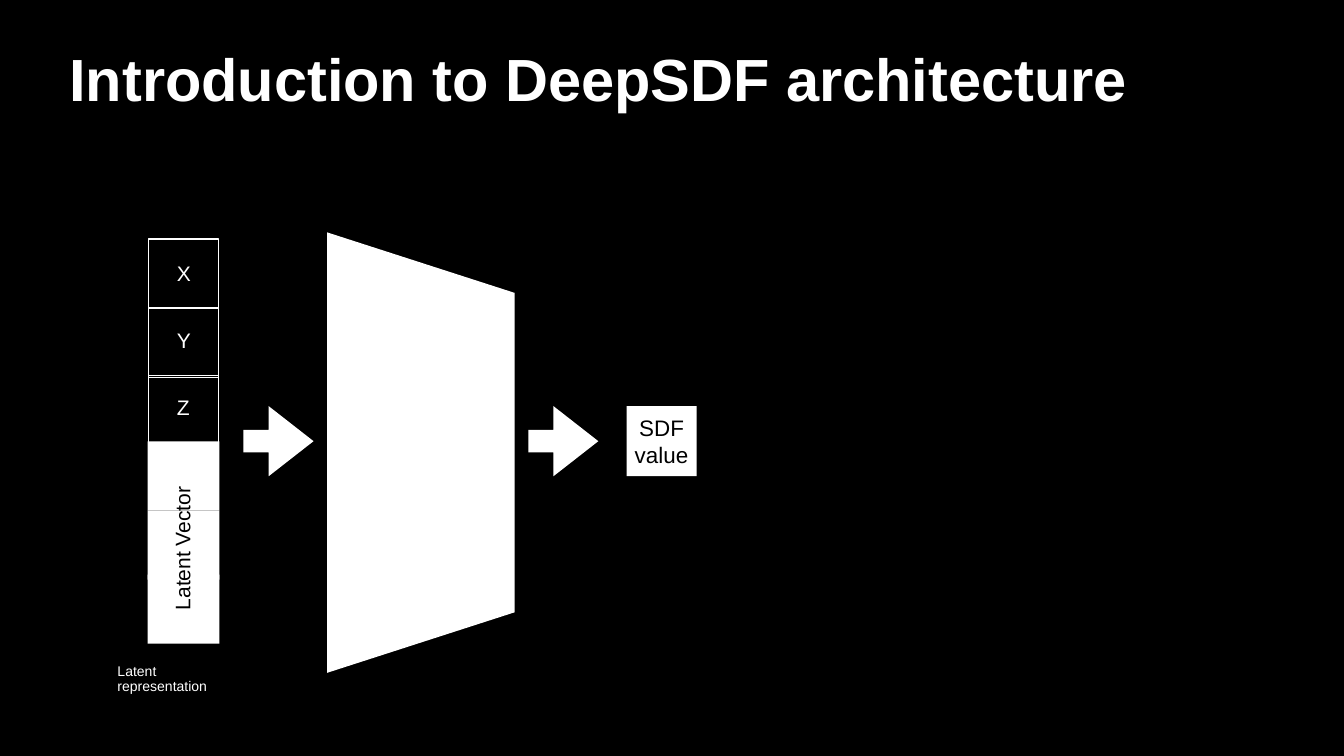
from pptx import Presentation
from pptx.dml.color import RGBColor
from pptx.enum.shapes import MSO_SHAPE as Shape
from pptx.enum.text import MSO_ANCHOR as Anchor, PP_ALIGN as Align
from pptx.util import Cm, Pt

COLORS = {"ground": "000000", "ink": "FFFFFF", "dark": "000000"}
FONT = "Arial"
INSET = 0.15

# Boxes are (left, top, width, height) in centimetres.
TITLE = ("Introduction to DeepSDF architecture", (3.35, 2.64, 61.04, 3.99))
CAPTION = ("Latent representation", (5.77, 33.71, 6.96, 1.04))
LATENT = ("Latent Vector", (5.11, 24.43, 8.28, 4.67))
OUTPUT = "SDF value"
COORDINATES = [("X", 12.04), ("Y", 15.54), ("Z", 18.92)]
LATENT_TOPS = [22.25, 25.73, 28.96]
NETWORK = [(16.48, 11.71), (25.93, 14.76), (25.93, 30.86), (16.48, 33.91)]

COLUMN_CENTER = 9.25
CELL_WIDTH, LATENT_WIDTH, CELL_HEIGHT = 3.53, 3.61, 3.48
LETTER_WIDTH, LETTER_HEIGHT = 0.97, 2.67
LETTER_TOP, LETTER_PITCH = 12.52, 3.365
FLOW_TOP, FLOW_SIZE = 20.47, 3.53
ARROW_LEFTS = [12.27, 26.62]
OUTPUT_LEFT = 31.57


def color(name):
    return RGBColor.from_string(COLORS[name])


def write(shape, text, size, ink="ink", bold=False, anchor=Anchor.MIDDLE,
          align=Align.LEFT, spacing=0.9, wrap=True):
    frame = shape.text_frame
    frame.word_wrap = wrap
    frame.vertical_anchor = anchor
    frame.margin_left = frame.margin_right = Cm(INSET)
    frame.margin_top = frame.margin_bottom = Cm(INSET)
    paragraph = frame.paragraphs[0]
    paragraph.alignment = align
    paragraph.line_spacing = spacing
    run = paragraph.add_run()
    run.text = text
    run.font.name = FONT
    run.font.size = Pt(size)
    run.font.bold = bold
    run.font.color.rgb = color(ink)


def add_text(slide, text, box, size, **style):
    shape = slide.shapes.add_textbox(*map(Cm, box))
    write(shape, text, size, **style)
    return shape


def fill_solid(shape):
    shape.shadow.inherit = False
    shape.fill.solid()
    shape.fill.fore_color.rgb = color("ink")
    shape.line.fill.background()


def add_solid(slide, kind, box):
    shape = slide.shapes.add_shape(kind, *map(Cm, box))
    fill_solid(shape)
    return shape


def add_outline(slide, box):
    shape = slide.shapes.add_shape(Shape.RECTANGLE, *map(Cm, box))
    shape.shadow.inherit = False
    shape.fill.background()
    shape.line.color.rgb = color("ink")
    shape.line.width = Pt(2)


def column_box(top, width, height):
    return COLUMN_CENTER - width / 2, top, width, height


def add_input_column(slide):
    for index, (letter, top) in enumerate(COORDINATES):
        add_outline(slide, column_box(top, CELL_WIDTH, CELL_HEIGHT))
        letter_top = LETTER_TOP + index * LETTER_PITCH
        add_text(slide, letter,
                 column_box(letter_top, LETTER_WIDTH, LETTER_HEIGHT), 30)
    for top in LATENT_TOPS:
        add_solid(slide, Shape.RECTANGLE,
                  column_box(top, LATENT_WIDTH, CELL_HEIGHT))
    add_text(slide, *LATENT, 30, ink="dark").rotation = 270
    add_text(slide, *CAPTION, 20, wrap=False)


def add_network(slide):
    start, *others = [(Cm(x), Cm(y)) for x, y in NETWORK]
    builder = slide.shapes.build_freeform(*start)
    builder.add_line_segments(others, close=True)
    fill_solid(builder.convert_to_shape())


def add_flow(slide):
    for left in ARROW_LEFTS:
        arrow = add_solid(slide, Shape.RIGHT_ARROW,
                          (left, FLOW_TOP, FLOW_SIZE, FLOW_SIZE))
        arrow.adjustments[0] = 0.32
        arrow.adjustments[1] = 0.64
    output = add_solid(slide, Shape.RECTANGLE,
                       (OUTPUT_LEFT, FLOW_TOP, FLOW_SIZE, FLOW_SIZE))
    write(output, OUTPUT, 32, ink="dark", align=Align.CENTER, spacing=1.0)


def main():
    presentation = Presentation()
    presentation.slide_width = Cm(67.72)
    presentation.slide_height = Cm(38.1)
    slide = presentation.slides.add_slide(presentation.slide_layouts[6])
    slide.background.fill.solid()
    slide.background.fill.fore_color.rgb = color("ground")
    add_text(slide, *TITLE, 85, bold=True, anchor=Anchor.TOP, spacing=0.8)
    add_input_column(slide)
    add_network(slide)
    add_flow(slide)
    presentation.save("out.pptx")


if __name__ == "__main__":
    main()
